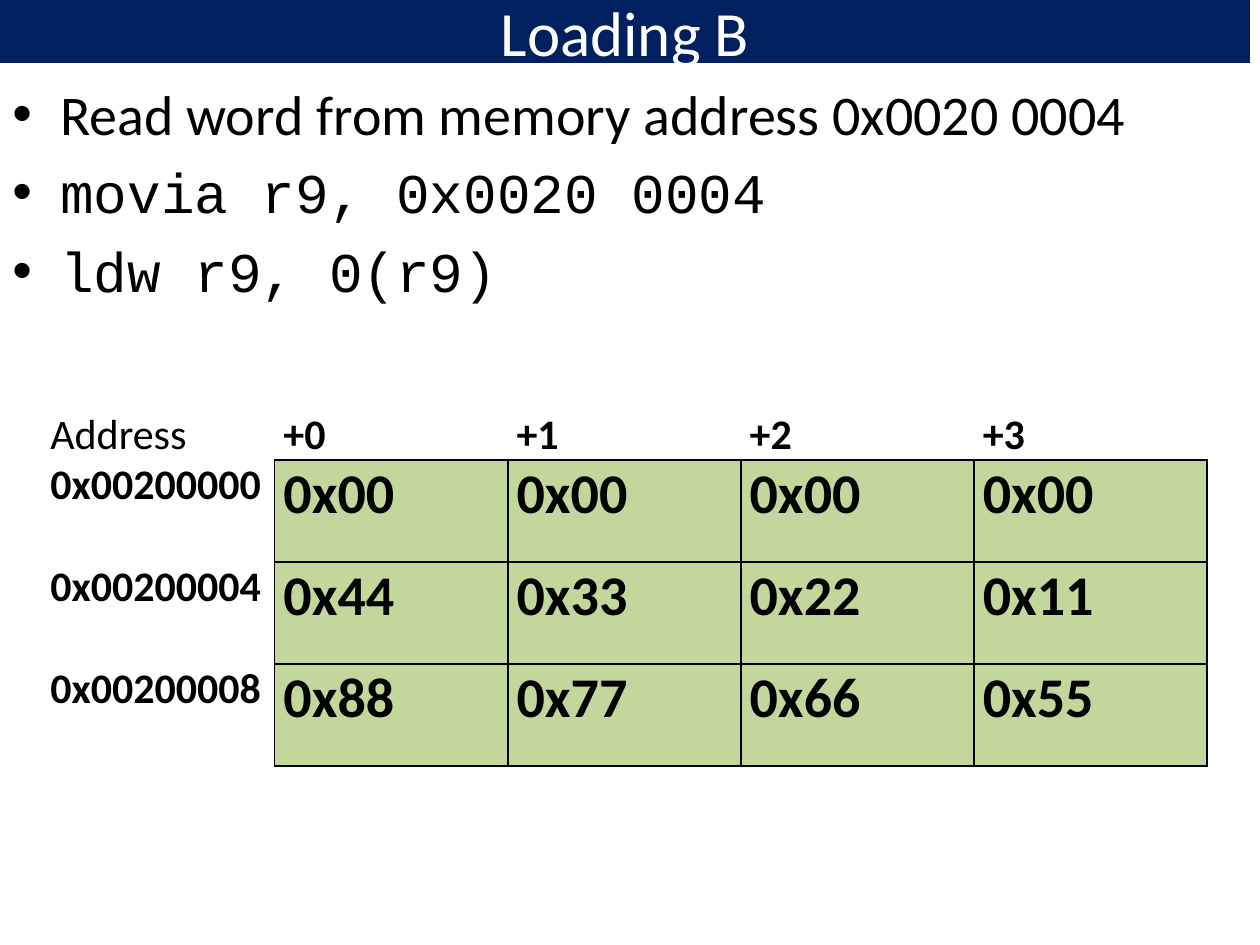
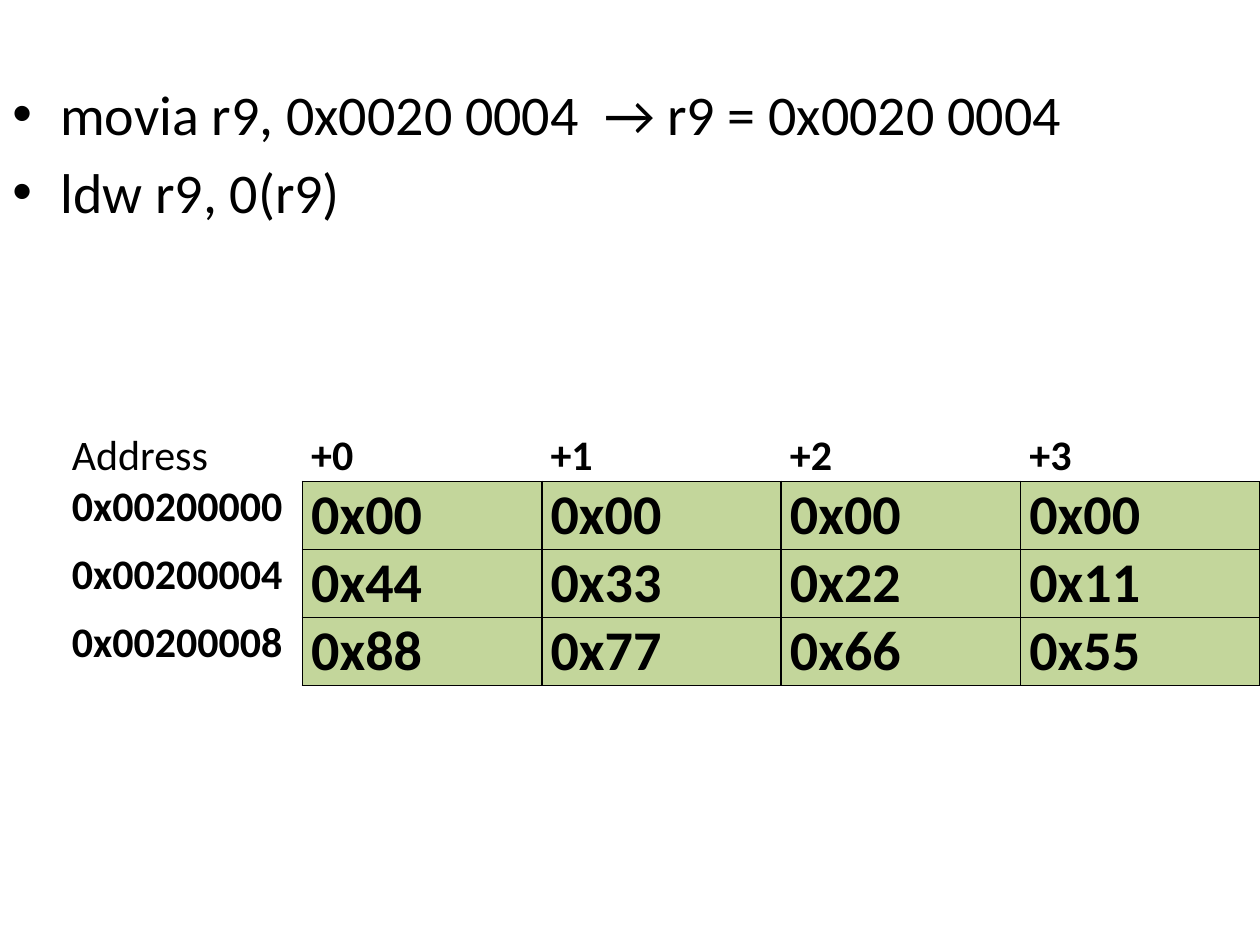
from dataclasses import dataclass

from lxml.etree import SubElement
from pptx import Presentation
from pptx.dml.color import RGBColor
from pptx.enum.shapes import MSO_SHAPE
from pptx.enum.text import MSO_ANCHOR, PP_ALIGN
from pptx.oxml.ns import qn
from pptx.util import Inches, Pt


@dataclass(frozen=True)
class Theme:
    band: RGBColor = RGBColor(0x00, 0x20, 0x60)
    title_text: RGBColor = RGBColor(0xFF, 0xFF, 0xFF)
    text: RGBColor = RGBColor(0x00, 0x00, 0x00)
    memory: RGBColor = RGBColor(0xC3, 0xD6, 0x9B)
    border: str = "000000"
    font: str = "Calibri"
    code_font: str = "Courier New"
    title_size: Pt = Pt(36)
    body_size: Pt = Pt(32)
    label_size: Pt = Pt(24)
    border_width: Pt = Pt(1)


THEME = Theme()

MEMORY = [
    ("Address", "+0", "+1", "+2", "+3"),
    ("0x00200000", "0x00", "0x00", "0x00", "0x00"),
    ("0x00200004", "0x44", "0x33", "0x22", "0x11"),
    ("0x00200008", "0x88", "0x77", "0x66", "0x55"),
]

# Bullets are (text, font); table lengths are in inches.
SLIDES = [
    {
        "title": "Loading B",
        "bullets": [
            ("Read word from memory address 0x0020 0004", THEME.font),
            ("movia r9, 0x0020 0004", THEME.code_font),
            ("ldw r9, 0(r9)", THEME.code_font),
        ],
        "table": {"left": 0.33, "top": 3.25, "col_width": 1.85, "row_height": 0.81},
    },
    {
        "title": None,
        "bullets": [
            ("movia r9, 0x0020 0004  → r9 = 0x0020 0004", THEME.font),
            ("ldw r9, 0(r9)", THEME.font),
        ],
        "table": {"left": 0.5, "top": 3.42, "col_width": 1.9, "row_height": 0.54},
    },
]
HEADER_HEIGHT = 0.4
BULLET_INDENT = Inches(0.38)


def style(p, size, color, font=THEME.font, bold=False):
    p.font.name, p.font.size, p.font.bold = font, size, bold
    p.font.color.rgb = color


def add_title(s, text):
    sp = s.shapes.add_shape(MSO_SHAPE.RECTANGLE, 0, 0, Inches(9.92), Inches(0.5))
    sp.shadow.inherit = False
    sp.fill.solid()
    sp.fill.fore_color.rgb = THEME.band
    sp.line.fill.background()
    tf = sp.text_frame
    tf.vertical_anchor = MSO_ANCHOR.MIDDLE
    tf.margin_top = tf.margin_bottom = 0
    p = tf.paragraphs[0]
    p.text, p.alignment = text, PP_ALIGN.CENTER
    style(p, THEME.title_size, THEME.title_text)


def add_bullets(s, bullets):
    tf = s.shapes.add_textbox(0, Inches(0.58), Inches(10), Inches(6.92)).text_frame
    tf.word_wrap = True
    for i, (text, font) in enumerate(bullets):
        p = tf.add_paragraph() if i else tf.paragraphs[0]
        p.text = text
        p.space_before = Pt(6.4)
        style(p, THEME.body_size, THEME.text, font)
        pPr = p._p.get_or_add_pPr()
        pPr.set("marL", str(BULLET_INDENT))
        pPr.set("indent", str(-BULLET_INDENT))
        bu_font = pPr.makeelement(qn("a:buFont"), {"typeface": "Arial"})
        bu_char = pPr.makeelement(qn("a:buChar"), {"char": "•"})
        for bullet in (bu_font, bu_char):
            pPr.find(qn("a:defRPr")).addprevious(bullet)


def set_borders(cell, sides):
    """Draw the given sides (letters of LRTB) and clear the others."""
    tcPr = cell._tc.get_or_add_tcPr()
    for side in "LRTB":
        ln = SubElement(tcPr, qn(f"a:ln{side}"), w=str(THEME.border_width))
        if side in sides:
            fill = SubElement(ln, qn("a:solidFill"))
            SubElement(fill, qn("a:srgbClr"), val=THEME.border)
        else:
            SubElement(ln, qn("a:noFill"))


def add_memory_table(s, left, top, col_width, row_height):
    heights = [HEADER_HEIGHT] + [row_height] * (len(MEMORY) - 1)
    n_cols = len(MEMORY[0])
    table = s.shapes.add_table(
        len(MEMORY), n_cols, Inches(left), Inches(top),
        Inches(col_width * n_cols), Inches(sum(heights)),
    ).table
    table.first_row = table.horz_banding = False
    for col in table.columns:
        col.width = Inches(col_width)
    for r, (values, height) in enumerate(zip(MEMORY, heights)):
        table.rows[r].height = Inches(height)
        for c, value in enumerate(values):
            cell = table.cell(r, c)
            cell.margin_left = cell.margin_right = Inches(0.07)
            cell.margin_top = cell.margin_bottom = 0
            is_byte = r > 0 and c > 0
            if is_byte:
                set_borders(cell, "LRTB")
                cell.fill.solid()
                cell.fill.fore_color.rgb = THEME.memory
            else:
                set_borders(cell, "B" if c else "R" if r else "")
                cell.fill.background()
            p = cell.text_frame.paragraphs[0]
            p.text = value
            size = THEME.body_size if is_byte else THEME.label_size
            style(p, size, THEME.text, bold=(r, c) != (0, 0))


def main():
    prs = Presentation()
    prs.slide_width, prs.slide_height = Inches(10), Inches(7.5)
    for content in SLIDES:
        s = prs.slides.add_slide(prs.slide_layouts[6])
        if content["title"]:
            add_title(s, content["title"])
        add_bullets(s, content["bullets"])
        add_memory_table(s, **content["table"])
    prs.save("out.pptx")


if __name__ == "__main__":
    main()
